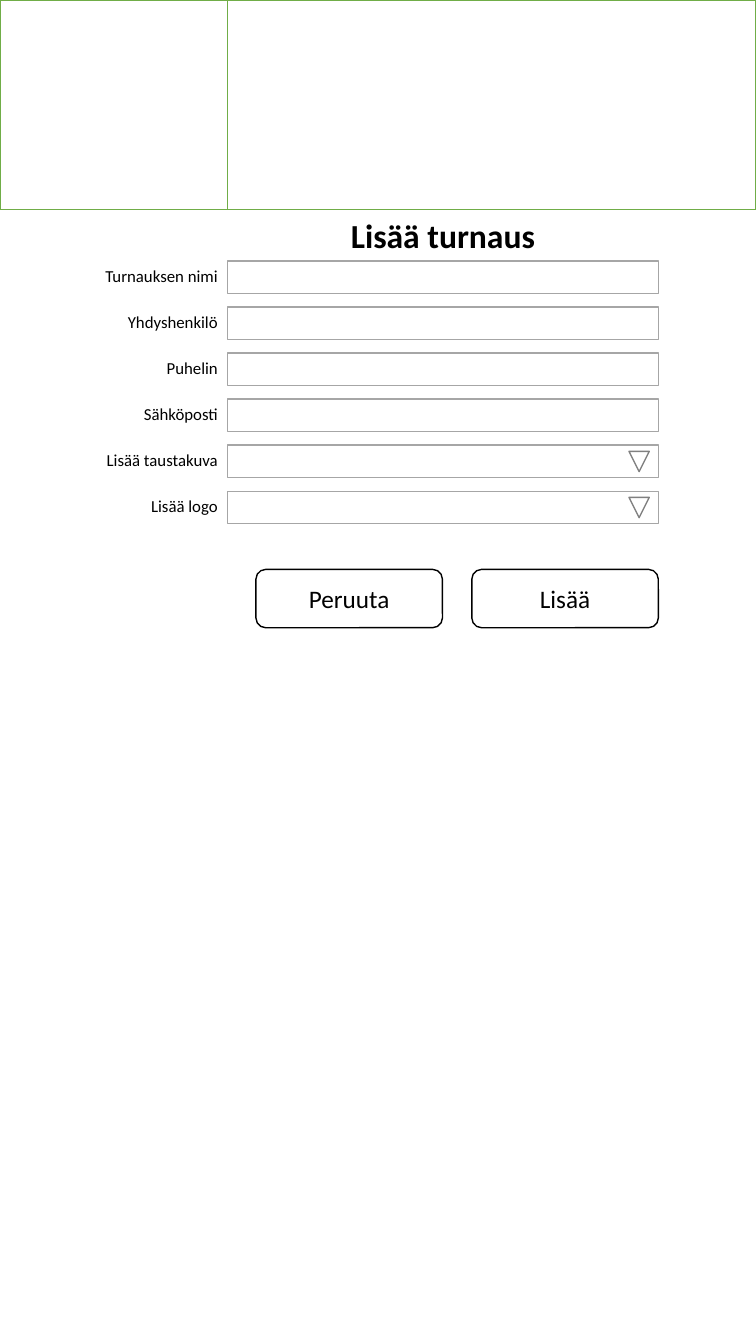
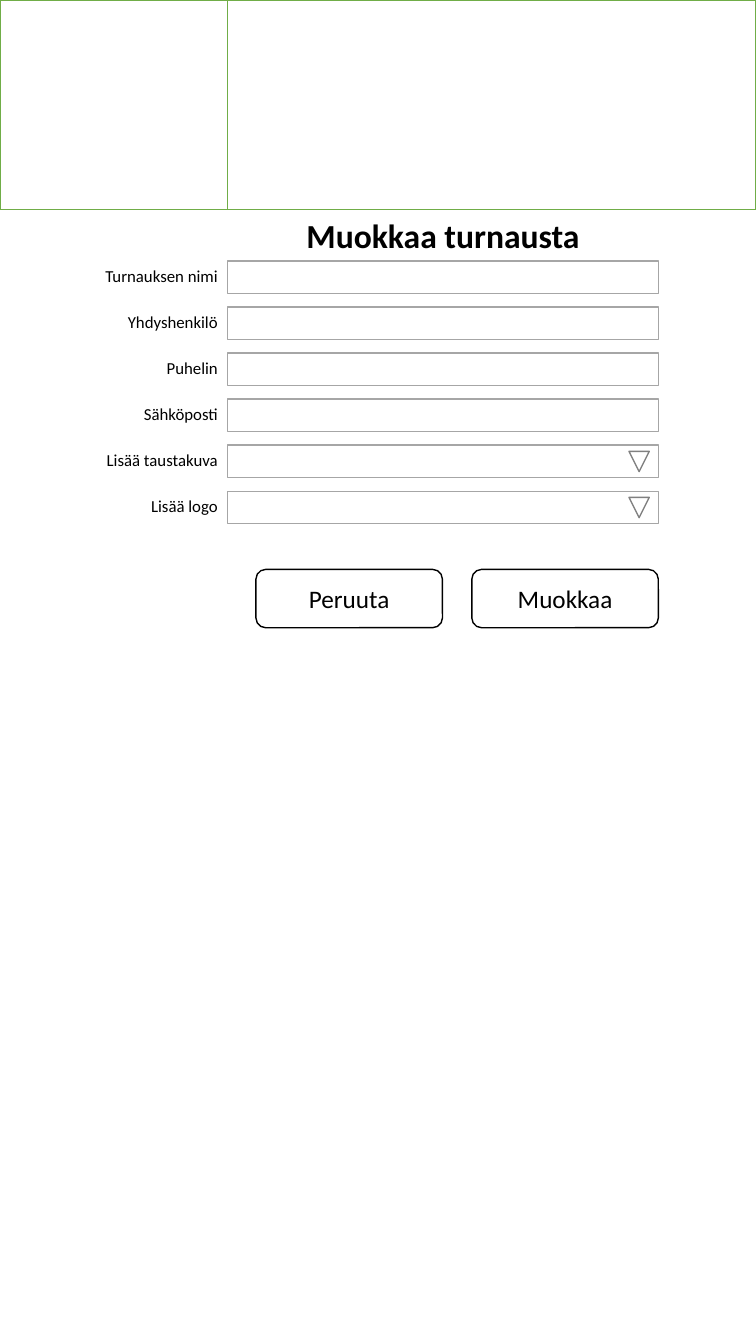
from pptx import Presentation, util as u
from pptx.dml.color import RGBColor
from pptx.enum import shapes, text

SCREENS = [
    ("Lisää turnaus", ("Peruuta", "Lisää")),
    ("Muokkaa turnausta", ("Peruuta", "Muokkaa")),
]
FIELDS = [
    ("Turnauksen nimi", False),
    ("Yhdyshenkilö", False),
    ("Puhelin", False),
    ("Sähköposti", False),
    ("Lisää taustakuva", True),
    ("Lisää logo", True),
]

FONT = "Calibri"
WHITE = RGBColor(0xFF, 0xFF, 0xFF)
BLACK = RGBColor(0, 0, 0)
GREEN = RGBColor(0x70, 0xAD, 0x47)
LIGHT_GREY = RGBColor(0xA6, 0xA6, 0xA6)
GREY = RGBColor(0x80, 0x80, 0x80)
SHAPE = shapes.MSO_SHAPE
ALIGN = text.PP_ALIGN

PAGE_W, PAGE_H = 19.05, 33.87
HEADER_H = 5.28
FIELD_X, FIELD_W, FIELD_H = 5.74, 10.85, 0.82
FIELD_TOP, FIELD_PITCH = 6.58, 1.16
LABEL_X, LABEL_H = 1.32, 0.76
ARROW_X, ARROW_SIZE = 15.85, 0.51
BUTTON_TOP, BUTTON_W, BUTTON_H, BUTTON_GAP = 14.35, 4.7, 1.47, 0.74


def write(sp, content, size=12, bold=False, align=ALIGN.CENTER,
          anchor=text.MSO_ANCHOR.TOP):
    tf = sp.text_frame
    tf.word_wrap = True
    tf.vertical_anchor = anchor
    p = tf.paragraphs[0]
    p.alignment = align
    r = p.add_run()
    r.text = content
    r.font.name = FONT
    r.font.size = u.Pt(size)
    r.font.bold = bold
    r.font.color.rgb = BLACK


def add_box(s, kind, x, y, w, h, line):
    sp = s.shapes.add_shape(kind, u.Cm(x), u.Cm(y), u.Cm(w), u.Cm(h))
    sp.shadow.inherit = False
    sp.fill.solid()
    sp.fill.fore_color.rgb = WHITE
    sp.line.color.rgb = line
    sp.line.width = u.Pt(1)
    return sp


def add_text(s, content, x, y, w, h, **fmt):
    sp = s.shapes.add_textbox(u.Cm(x), u.Cm(y), u.Cm(w), u.Cm(h))
    write(sp, content, **fmt)


def add_field(s, label, dropdown, y):
    add_text(s, label, LABEL_X, y, FIELD_X - LABEL_X, LABEL_H, align=ALIGN.RIGHT)
    add_box(s, SHAPE.RECTANGLE, FIELD_X, y, FIELD_W, FIELD_H, LIGHT_GREY)
    if dropdown:
        arrow_y = y + (FIELD_H - ARROW_SIZE) / 2
        arrow = add_box(s, SHAPE.ISOSCELES_TRIANGLE, ARROW_X, arrow_y,
                        ARROW_SIZE, ARROW_SIZE, GREY)
        arrow.rotation = 180


def add_screen(prs, title, buttons):
    s = prs.slides.add_slide(prs.slide_layouts[6])
    for x, w in ((0, FIELD_X), (FIELD_X, PAGE_W - FIELD_X)):
        add_box(s, SHAPE.RECTANGLE, x, 0, w, HEADER_H, GREEN)
    add_text(s, title, FIELD_X, HEADER_H, FIELD_W, 1.27, size=24, bold=True)
    for i, (label, dropdown) in enumerate(FIELDS):
        add_field(s, label, dropdown, FIELD_TOP + i * FIELD_PITCH)
    step = BUTTON_W + BUTTON_GAP
    first_x = FIELD_X + FIELD_W - len(buttons) * step + BUTTON_GAP
    for i, caption in enumerate(buttons):
        button = add_box(s, SHAPE.ROUNDED_RECTANGLE, first_x + i * step,
                         BUTTON_TOP, BUTTON_W, BUTTON_H, BLACK)
        write(button, caption, size=18, anchor=text.MSO_ANCHOR.MIDDLE)


prs = Presentation()
prs.slide_width, prs.slide_height = u.Cm(PAGE_W), u.Cm(PAGE_H)
for title, buttons in SCREENS:
    add_screen(prs, title, buttons)
prs.save("out.pptx")
